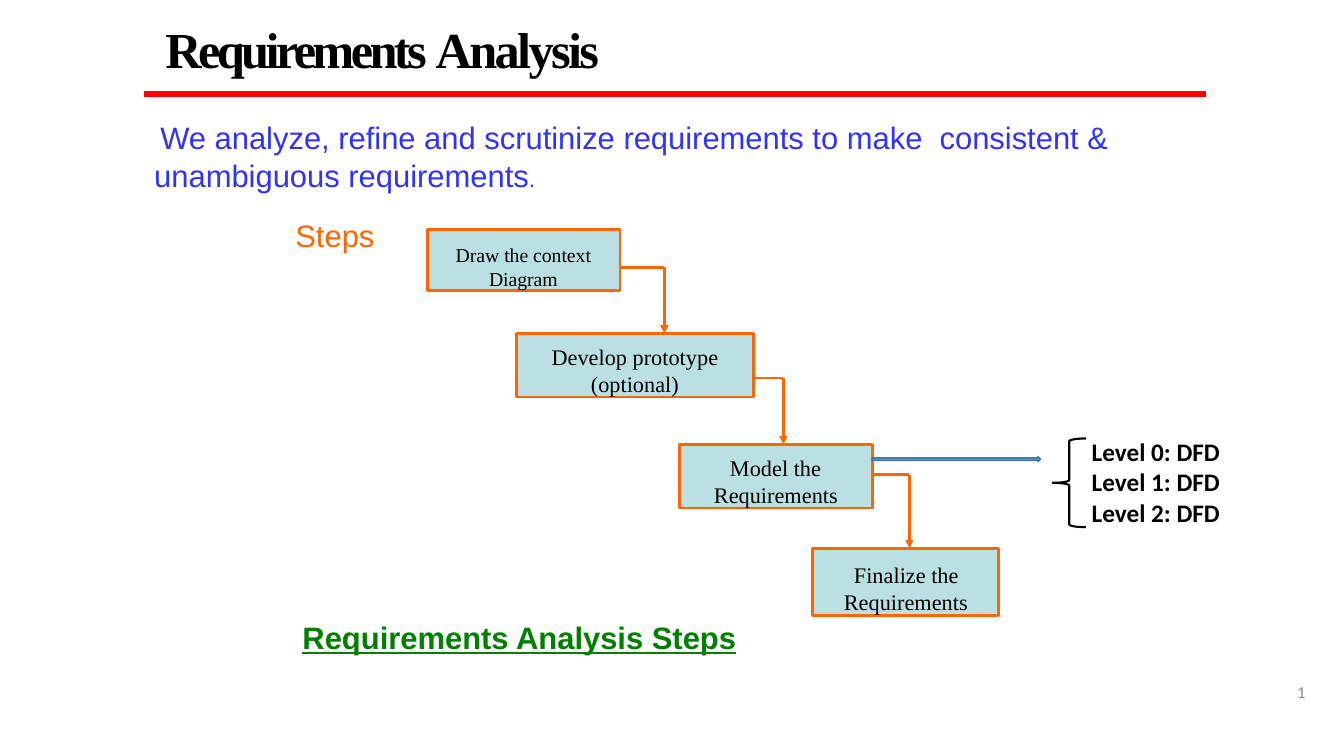
from lxml import etree
from pptx import Presentation
from pptx.dml.color import RGBColor
from pptx.enum.shapes import MSO_CONNECTOR, MSO_SHAPE
from pptx.enum.text import MSO_ANCHOR, MSO_AUTO_SIZE, PP_ALIGN
from pptx.oxml.ns import qn
from pptx.util import Inches, Pt

STRAIGHT = MSO_CONNECTOR.STRAIGHT
RECT, ARROW, BRACE = MSO_SHAPE.RECTANGLE, MSO_SHAPE.RIGHT_ARROW, MSO_SHAPE.LEFT_BRACE
TOP, MIDDLE = MSO_ANCHOR.TOP, MSO_ANCHOR.MIDDLE
LEFT, RIGHT = PP_ALIGN.LEFT, PP_ALIGN.RIGHT
NO_FIT = MSO_AUTO_SIZE.NONE

ORANGE, BLACK = "FF6500", "000000"
SERIF, SANS, BODY = "Times New Roman", "Arial", "Calibri"

TITLE = [("Requirements ", -2.6), ("Analysis", -1.9)]
INTRO = "We analyze, refine and scrutinize requirements to make  consistent & unambiguous requirements"
STEPS_LABEL = "Steps"
CAPTION = "Requirements Analysis Steps"
LEVELS = ["Level 0: DFD", "Level 1: DFD", "Level 2: DFD"]

# text, box, top inset, left margin, first-line indent, font size
STEPS = [
    ("Draw the context  Diagram", (4.24, 2.28, 1.91, 0.6), 0.13, 0.61, -0.33, 14.1),
    ("Develop prototype  (optional)", (5.12, 3.31, 2.35, 0.63), 0.1, 0.74, -0.39, 15.9),
    ("Model the  Requirements", (6.74, 4.41, 1.91, 0.63), 0.1, 0.34, 0.16, 15.9),
    ("Finalize the  Requirements", (8.06, 5.44, 1.84, 0.67), 0.13, 0.31, 0.1, 15.9),
]
BENDS = [(6.59, 2.65), (7.77, 3.75), (9.02, 4.71)]


def rgb(value):
    return RGBColor.from_string(value)


def style(font, name, size, color, bold=False):
    font.name, font.size, font.bold = name, Pt(size), bold
    font.color.rgb = rgb(color)


def frame(s, insets=(0, 0.01, 0, 0), anchor=TOP):
    tf = s.text_frame
    tf.word_wrap, tf.auto_size, tf.vertical_anchor = True, NO_FIT, anchor
    tf.margin_left, tf.margin_top, tf.margin_right, tf.margin_bottom = map(Inches, insets)
    return tf


def indent(p, left, first):
    pPr = p._p.get_or_add_pPr()
    pPr.set("marL", str(Inches(left)))
    pPr.set("indent", str(Inches(first)))


def add_text(box, text, name, size, color, bold=False, first=0):
    p = frame(slide.shapes.add_textbox(*map(Inches, box))).paragraphs[0]
    p.text = text
    indent(p, 0.01, first)
    style(p.font, name, size, color, bold)
    return p


def add_shape(kind, box, fill, line, width):
    s = slide.shapes.add_shape(kind, *map(Inches, box))
    s.shadow.inherit = False
    if fill:
        s.fill.solid()
        s.fill.fore_color.rgb = rgb(fill)
    else:
        s.fill.background()
    s.line.color.rgb = rgb(line)
    s.line.width = Pt(width)
    return s


def add_line(x1, y1, x2, y2, color, width, head=False):
    c = slide.shapes.add_connector(STRAIGHT, *map(Inches, (x1, y1, x2, y2)))
    c.line.color.rgb = rgb(color)
    c.line.width = Pt(width)
    if head:
        etree.SubElement(c.line._get_or_add_ln(), qn("a:tailEnd"), type="triangle")
    etree.SubElement(c._element.spPr, qn("a:effectLst"))


prs = Presentation()
prs.slide_width, prs.slide_height = Inches(13.33), Inches(7.5)
slide = prs.slides.add_slide(prs.slide_layouts[5])

title = slide.shapes.title
title.left, title.top, title.width, title.height = map(Inches, (1.63, 0.23, 4.92, 0.56))
p = frame(title, anchor=MIDDLE).paragraphs[0]
p.alignment, p.line_spacing = LEFT, 0.9
indent(p, 0.01, 0)
for text, spacing in TITLE:
    r = p.add_run()
    r.text = text
    r.font._element.set("spc", str(round(spacing * 100)))
style(p.font, SERIF, 36, BLACK, True)
add_line(1.43, 0.93, 11.96, 0.93, "FF0000", 4.5)

p = add_text((1.52, 1.17, 10.83, 0.75), INTRO, SANS, 22.1, "3232FF", first=0.06)
r = p.add_run()
r.text = "."
r.font.size = Pt(15.9)
add_text((2.92, 2.14, 1.17, 0.38), STEPS_LABEL, SANS, 22.1, ORANGE)
p = add_text((2.99, 6.13, 4.85, 0.38), CAPTION, SANS, 22.1, "007F00", True)
p.font.underline = True

for text, box, inset, left, first, size in STEPS:
    s = add_shape(RECT, box, "BAE0E3", ORANGE, 2)
    p = frame(s, (0, inset, 0, 0)).paragraphs[0]
    p.text, p.alignment = text, LEFT
    indent(p, left, first)
    style(p.font, SERIF, size, BLACK)

for (_, box, *_), (_, target, *_), (x, y) in zip(STEPS, STEPS[1:], BENDS):
    add_line(box[0] + box[2], y, x, y, ORANGE, 2)
    add_line(x, y, x, target[1], ORANGE, 2, head=True)

add_shape(ARROW, (8.65, 4.53, 1.67, 0.05), "5B9BD5", "43739E", 1)
add_shape(BRACE, (10.44, 4.35, 0.33, 0.88), None, BLACK, 1.5)

levels = slide.shapes.add_textbox(*map(Inches, (10.73, 4.28, 1.87, 1.01)))
tf = frame(levels, (0.1, 0.05, 0.1, 0.05))
tf.text = "\n".join(LEVELS)
for p in tf.paragraphs:
    style(p.font, BODY, 18, BLACK, True)

number = slide.shapes.add_textbox(*map(Inches, (12.71, 6.71, 0.24, 0.3)))
p = frame(number, (0, 0, 0, 0), MIDDLE).paragraphs[0]
p.alignment = RIGHT
style(p.font, BODY, 12, "8C8C8C")
r = p.add_run()
r.text = "1"
style(r.font, BODY, 12, "8C8C8C")
r._r.tag = qn("a:fld")
r._r.set("id", "{B6F15528-21DE-4FAA-801E-634DDDAF4B2B}")
r._r.set("type", "slidenum")

prs.save("out.pptx")
